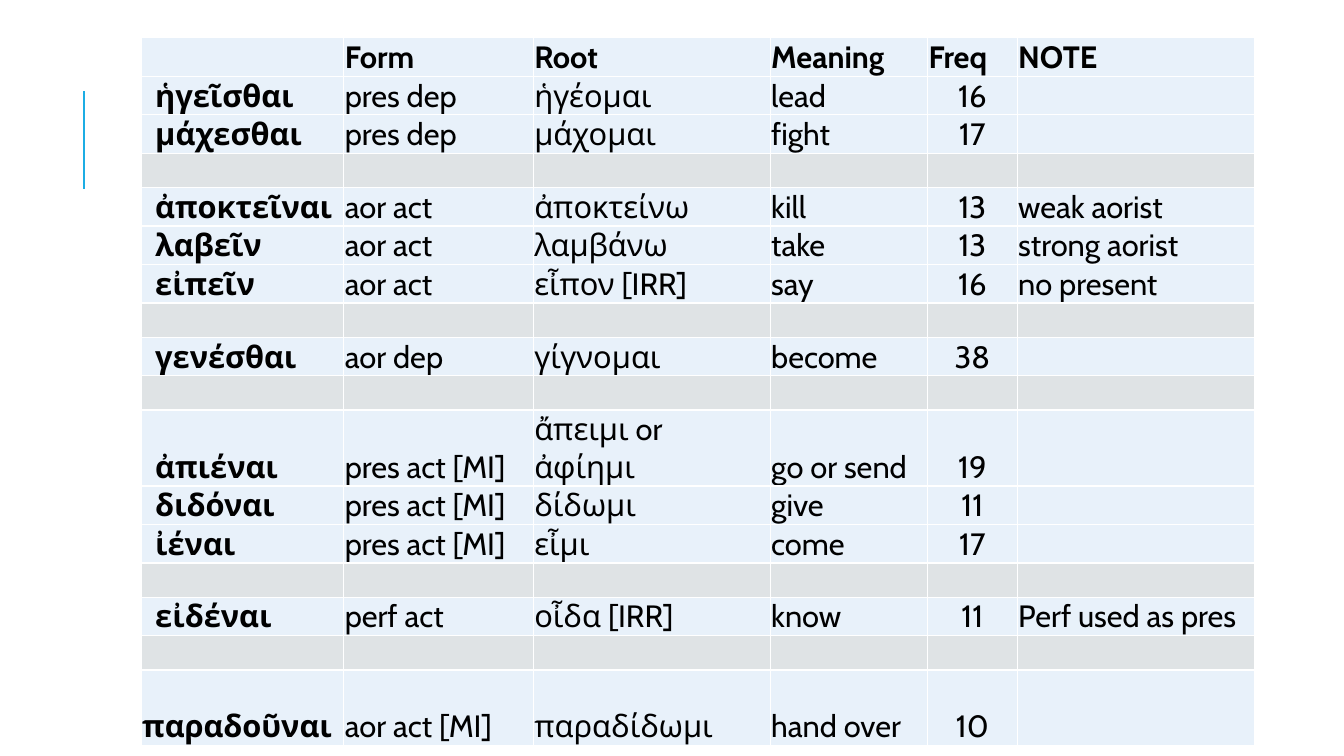
from lxml import etree
from pptx import Presentation
from pptx.dml.color import RGBColor
from pptx.enum.shapes import MSO_CONNECTOR
from pptx.enum.text import MSO_ANCHOR, PP_ALIGN
from pptx.oxml.ns import qn
from pptx.util import Inches, Pt

STRAIGHT = MSO_CONNECTOR.STRAIGHT
BOTTOM = MSO_ANCHOR.BOTTOM
LEFT, CENTER = PP_ALIGN.LEFT, PP_ALIGN.CENTER

COLORS = {"verb": "E8F1FA", "gap": "DFE3E5", "grid": "FFFFFF",
          "text": "000000", "rule": "1CADE4"}
FONT, SIZE = "Cabin", 22
COLS = [2.01, 1.88, 2.35, 1.56, 0.89, 2.35]
LINE, GAP, TALL = 0.38, 0.34, 0.75
INSET, INDENT = 0.01, 0.14
FREQ = 4

GAP_ROW = [""] * len(COLS)
VERBS = [
    ["", "Form", "Root", "Meaning", "Freq", "NOTE"],
    ["ἡγεῖσθαι", "pres dep", "ἡγέομαι", "lead", "16", ""],
    ["μάχεσθαι", "pres dep", "μάχομαι", "fight", "17", ""],
    GAP_ROW,
    ["ἀποκτεῖναι", "aor act", "ἀποκτείνω", "kill", "13", "weak aorist"],
    ["λαβεῖν", "aor act", "λαμβάνω", "take", "13", "strong aorist"],
    ["εἰπεῖν", "aor act", "εἶπον [IRR]", "say", "16", "no present"],
    GAP_ROW,
    ["γενέσθαι", "aor dep", "γίγνομαι", "become", "38", ""],
    GAP_ROW,
    ["ἀπιέναι", "pres act [MI]", "ἄπειμι or ἀφίημι", "go or send", "19", ""],
    ["διδόναι", "pres act [MI]", "δίδωμι", "give", "11", ""],
    ["ἰέναι", "pres act [MI]", "εἶμι", "come", "17", ""],
    GAP_ROW,
    ["εἰδέναι", "perf act", "οἶδα [IRR]", "know", "11", "Perf used as pres"],
    GAP_ROW,
    ["παραδοῦναι", "aor act [MI]", "παραδίδωμι", "hand over", "10", ""],
]
LAST = len(VERBS) - 1
TALL_ROWS = {10, LAST}


def rgb(name):
    return RGBColor.from_string(COLORS[name])


def add_grid(cell):
    """Draw a thin line on all four sides of the cell."""
    props = cell._tc.get_or_add_tcPr()
    for pos, side in enumerate(("lnL", "lnR", "lnT", "lnB")):
        line = etree.Element(qn("a:" + side), w=str(Pt(1)))
        fill = etree.SubElement(line, qn("a:solidFill"))
        etree.SubElement(fill, qn("a:srgbClr"), val=COLORS["grid"])
        props.insert(pos, line)


def fill_cell(cell, text, shade, bold, align, indent):
    cell.fill.solid()
    cell.fill.fore_color.rgb = rgb(shade)
    add_grid(cell)
    cell.vertical_anchor = BOTTOM
    cell.margin_left = Inches(indent)
    cell.margin_right = cell.margin_top = Inches(INSET)
    cell.margin_bottom = 0
    if not text:
        return
    para = cell.text_frame.paragraphs[0]
    para.text = text
    para.alignment = align
    font = para.runs[0].font
    font.name, font.size, font.bold = FONT, Pt(SIZE), bold
    font.color.rgb = rgb("text")


def row_height(row):
    if row in TALL_ROWS:
        return TALL
    return LINE if any(VERBS[row]) else GAP


def add_verbs(slide, left, top):
    heights = [row_height(row) for row in range(len(VERBS))]
    frame = slide.shapes.add_table(
        len(VERBS), len(COLS), left, top,
        Inches(sum(COLS)), Inches(sum(heights)))
    table = frame.table
    table.first_row = table.horz_banding = False
    for col, width in zip(table.columns, COLS):
        col.width = Inches(width)
    for r, words in enumerate(VERBS):
        table.rows[r].height = Inches(heights[r])
        shade = "verb" if any(words) else "gap"
        for c, text in enumerate(words):
            bold = r == 0 or c == 0
            align = CENTER if c == FREQ and r > 0 else LEFT
            indent = INDENT if c == 0 and r < LAST else INSET
            fill_cell(table.cell(r, c), text, shade, bold, align, indent)


def add_rule(slide, x, top, bottom):
    rule = slide.shapes.add_connector(STRAIGHT, x, bottom, x, top)
    rule.line.color.rgb = rgb("rule")
    rule.line.width = Pt(1.5)
    etree.SubElement(rule._element.spPr, qn("a:effectLst"))


def main():
    deck = Presentation()
    deck.slide_width, deck.slide_height = Inches(13.33), Inches(7.5)
    wide, high = deck.slide_width, deck.slide_height
    slide = deck.slides.add_slide(deck.slide_layouts[6])
    add_rule(slide, int(wide / 16), int(high * 0.12), int(high * 0.25))
    add_verbs(slide, int(wide * 0.105), int(high * 0.05))
    deck.save("out.pptx")


if __name__ == "__main__":
    main()
